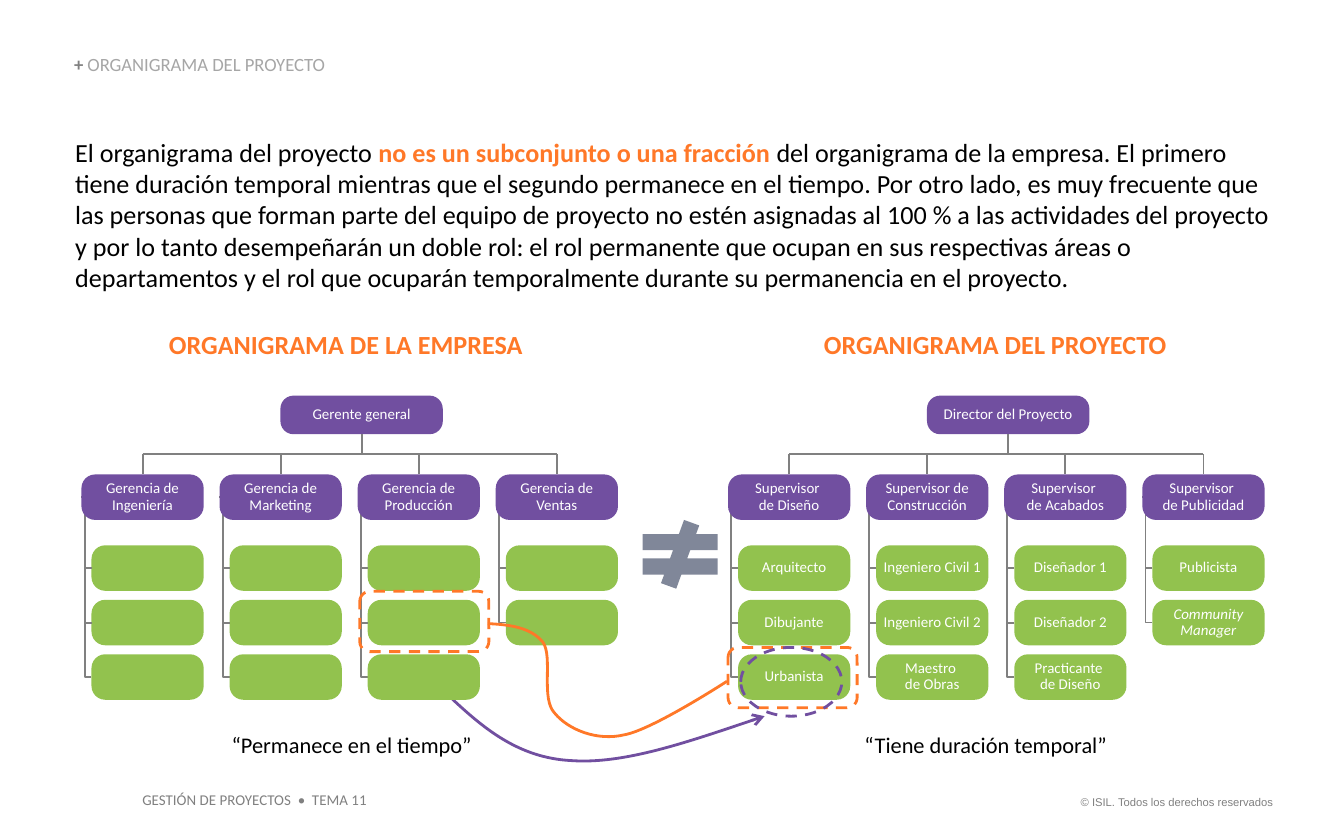
import pptx
import pptx.util
import pptx.dml.color
import pptx.enum.dml
import pptx.enum.shapes
import pptx.enum.text
import pptx.oxml.ns
import pptx.oxml.xmlchemy
from pptx.util import Cm

RGBColor = pptx.dml.color.RGBColor
SHAPE = pptx.enum.shapes.MSO_SHAPE
CONNECTOR = pptx.enum.shapes.MSO_CONNECTOR
ALIGN = pptx.enum.text.PP_ALIGN
ANCHOR = pptx.enum.text.MSO_ANCHOR
DASH = pptx.enum.dml.MSO_LINE.DASH
OxmlElement = pptx.oxml.xmlchemy.OxmlElement
qn = pptx.oxml.ns.qn

BLACK = RGBColor(0, 0, 0)
WHITE = RGBColor(255, 255, 255)
GRAY = RGBColor(0x80, 0x80, 0x80)
LIGHT_GRAY = RGBColor(0xA6, 0xA6, 0xA6)
SLATE = RGBColor(0x80, 0x87, 0x99)
ORANGE = RGBColor(0xFF, 0x78, 0x28)
PURPLE = RGBColor(0x71, 0x4F, 0xA0)
GREEN = RGBColor(0x92, 0xC2, 0x4E)

COMPANY = [
    ("Gerencia de Ingeniería", ["", "", ""]),
    ("Gerencia de Marketing", ["", "", ""]),
    ("Gerencia de Producción", ["", "", ""]),
    ("Gerencia de Ventas", ["", ""]),
]
PROJECT = [
    ("Supervisor \nde Diseño", ["Arquitecto", "Dibujante", "Urbanista"]),
    ("Supervisor de Construcción",
     ["Ingeniero Civil 1", "Ingeniero Civil 2", "Maestro \nde Obras"]),
    ("Supervisor \nde Acabados",
     ["Diseñador 1", "Diseñador 2", "Practicante \nde Diseño"]),
    ("Supervisor \nde Publicidad", ["Publicista", "Community Manager"]),
]


class SlideBuilder:
    def __init__(self, slide, font="Calibri"):
        self.slide = slide
        self.shapes = slide.shapes
        self.font = font

    def format_run(self, r, size, color, bold=False, italic=False, font=None):
        r.font.name = font or self.font
        r.font.size = pptx.util.Pt(size)
        r.font.color.rgb = color
        r.font.bold = bold
        r.font.italic = italic

    def clear_margins(self, tf):
        tf.margin_left = tf.margin_right = tf.margin_top = tf.margin_bottom = 0

    def text(self, box, segments, size, align=ALIGN.LEFT, font=None,
             label=False, anchor=ANCHOR.TOP):
        tf = self.shapes.add_textbox(*map(Cm, box)).text_frame
        tf.word_wrap = not label
        tf.vertical_anchor = anchor
        if not label:
            self.clear_margins(tf)
        p = tf.paragraphs[0]
        p.alignment = align
        for text, color, bold in segments:
            r = p.add_run()
            r.text = text
            self.format_run(r, size, color, bold, font=font)

    def shape(self, kind, box, color):
        sp = self.shapes.add_shape(kind, *map(Cm, box))
        sp.shadow.inherit = False
        sp.fill.solid()
        sp.fill.fore_color.rgb = color
        sp.line.fill.background()
        return sp

    def node(self, box, text, color, rounding=0.3, italic=False):
        sp = self.shape(SHAPE.ROUNDED_RECTANGLE, box, color)
        sp.adjustments[0] = rounding
        tf = sp.text_frame
        tf.word_wrap = True
        tf.vertical_anchor = ANCHOR.MIDDLE
        self.clear_margins(tf)
        p = tf.paragraphs[0]
        p.text = text
        p.alignment = ALIGN.CENTER
        p.line_spacing = 0.9
        for r in p.runs:
            self.format_run(r, 8, WHITE, italic=italic)
        return sp

    def outline(self, kind, box, color):
        sp = self.shape(kind, box, color)
        sp.fill.background()
        sp.line.color.rgb = color
        sp.line.width = pptx.util.Pt(1.5)
        sp.line.dash_style = DASH

    def link(self, x1, y1, x2, y2, begin=None, end=None, bend=None):
        kind = CONNECTOR.STRAIGHT if bend is None else CONNECTOR.ELBOW
        cxn = self.shapes.add_connector(kind, Cm(x1), Cm(y1), Cm(x2), Cm(y2))
        cxn.line.color.rgb = GRAY
        cxn.line.width = pptx.util.Pt(1)
        if begin:
            cxn.begin_connect(*begin)
        if end:
            cxn.end_connect(*end)
        spPr = cxn._element.spPr
        spPr.append(OxmlElement("a:effectLst"))
        if bend is not None:
            gd = OxmlElement("a:gd")
            gd.set("name", "adj1")
            gd.set("fmla", f"val {round(bend * 100000)}")
            spPr.find(qn("a:prstGeom")).find(qn("a:avLst")).append(gd)
            self.shapes._spTree.insert(2, cxn._element)

    def curve(self, points, color, arrow=False):
        pts = [(Cm(x), Cm(y)) for x, y in points]
        builder = self.shapes.build_freeform(*pts[0], scale=1.0)
        builder.add_line_segments(pts[1:], close=False)
        sp = builder.convert_to_shape()
        sp.shadow.inherit = False
        sp.fill.background()
        sp.line.color.rgb = color
        sp.line.width = pptx.util.Pt(1.5)
        segments = list(sp._element.iter(qn("a:lnTo")))
        for i in range(0, len(segments), 3):
            bezier = OxmlElement("a:cubicBezTo")
            segments[i].addprevious(bezier)
            for segment in segments[i:i + 3]:
                bezier.append(segment[0])
                segment.getparent().remove(segment)
        if arrow:
            tail = OxmlElement("a:tailEnd")
            tail.set("type", "arrow")
            sp._element.spPr.find(qn("a:ln")).append(tail)

    def org_chart(self, left, root_text, columns):
        pitch, head_w, box_h, indent, trunk = 2.61, 2.31, 0.86, 0.19, 0.06
        head_y, leaf_y, leaf_pitch, bus_y = 8.97, 10.31, 1.03, 8.58
        root = self.node((left + 3.76, 7.48, 3.07, 0.73), root_text, PURPLE, 0.34)
        first = left + head_w / 2
        self.link(first, bus_y, first + 3 * pitch, bus_y)
        root_x = left + 3.76 + 3.07 / 2
        self.link(root_x, 8.21, root_x, bus_y, begin=(root, 2))
        for i, (title, names) in enumerate(columns):
            x = left + i * pitch
            head = self.node((x, head_y, head_w, box_h), title, PURPLE)
            center = x + head_w / 2
            self.link(center, bus_y, center, head_y, end=(head, 0))
            for j, name in enumerate(names):
                y = leaf_y + j * leaf_pitch
                leaf = self.node((x + indent, y, head_w - indent, box_h), name,
                                 GREEN, italic=name.startswith("Community"))
                mid = y + box_h / 2
                if j < len(names) - 1:
                    self.link(x + indent, mid, x + trunk, mid, begin=(leaf, 1))
                else:
                    self.link(x + indent, mid, x, head_y + box_h / 2,
                              begin=(leaf, 1), end=(head, 1),
                              bend=1 - trunk / indent)


def main():
    prs = pptx.Presentation()
    prs.slide_width, prs.slide_height = Cm(25.4), Cm(15.88)
    s = SlideBuilder(prs.slides.add_slide(prs.slide_layouts[6]))

    s.text((20.09, 14.91, 4.22, 0.51),
           [("© ISIL. Todos los derechos reservados", GRAY, False)],
           6, ALIGN.RIGHT, "Arial", label=True)
    s.text((2.44, 14.83, 4.75, 0.61),
           [("GESTIÓN DE PROYECTOS  •  TEMA 11", GRAY, False)], 8, label=True)
    s.text((1.4, 1.04, 8.51, 0.38),
           [("+ ", GRAY, True), ("ORGANIGRAMA DEL PROYECTO", LIGHT_GRAY, False)],
           10, anchor=ANCHOR.BOTTOM)
    s.text((1.42, 2.57, 22.91, 3), [
        ("El organigrama del proyecto ", BLACK, False),
        ("no es un subconjunto o una fracción ", ORANGE, True),
        ("del organigrama de la empresa. El primero tiene duración temporal "
         "mientras que el segundo permanece en el tiempo. Por otro lado, es muy "
         "frecuente que las personas que forman parte del equipo de proyecto no "
         "estén asignadas al 100 % a las actividades del proyecto y por lo tanto "
         "desempeñarán un doble rol: el rol permanente que ocupan en sus "
         "respectivas áreas o departamentos y el rol que ocuparán temporalmente "
         "durante su permanencia en el proyecto.", BLACK, False)], 14)
    for x, title in ((2.64, "ORGANIGRAMA DE LA EMPRESA"),
                     (14.91, "ORGANIGRAMA DEL PROYECTO")):
        s.text((x, 6.2, 7.8, 0.61), [(title, ORANGE, True)], 14, ALIGN.CENTER)
    for x, w, caption in ((1.42, 10.46, "“Permanece en el tiempo”"),
                          (13.18, 10.9, "“Tiene duración temporal”")):
        s.text((x, 13.82, w, 0.51), [(caption, BLACK, False)], 12, ALIGN.CENTER)

    s.curve([(8.51, 13.18), (9.14, 13.77), (9.8, 14.33), (10.8, 14.38),
             (11.79, 14.45), (13.11, 13.99), (14.45, 13.54)], PURPLE, arrow=True)
    s.shape(SHAPE.MATH_NOT_EQUAL, (11.89, 9.83, 1.93, 1.3), SLATE)
    s.org_chart(1.54, "Gerente general", COMPANY)
    s.org_chart(13.76, "Director del Proyecto", PROJECT)

    for x, y in ((13.76, 12.24), (6.8, 11.18)):
        s.outline(SHAPE.ROUNDED_RECTANGLE, (x, y, 2.44, 1.14), ORANGE)
    s.curve([(9.22, 11.79), (9.63, 11.81), (10.03, 11.86), (10.26, 12.14),
             (10.46, 12.42), (10.21, 13.21), (10.49, 13.49),
             (10.74, 13.79), (11.28, 14.02), (11.81, 13.89),
             (12.34, 13.79), (13.74, 12.88), (13.74, 12.88)], ORANGE)
    s.outline(SHAPE.OVAL, (14, 12.24, 1.91, 1.3), PURPLE)
    prs.save("out.pptx")


if __name__ == "__main__":
    main()
